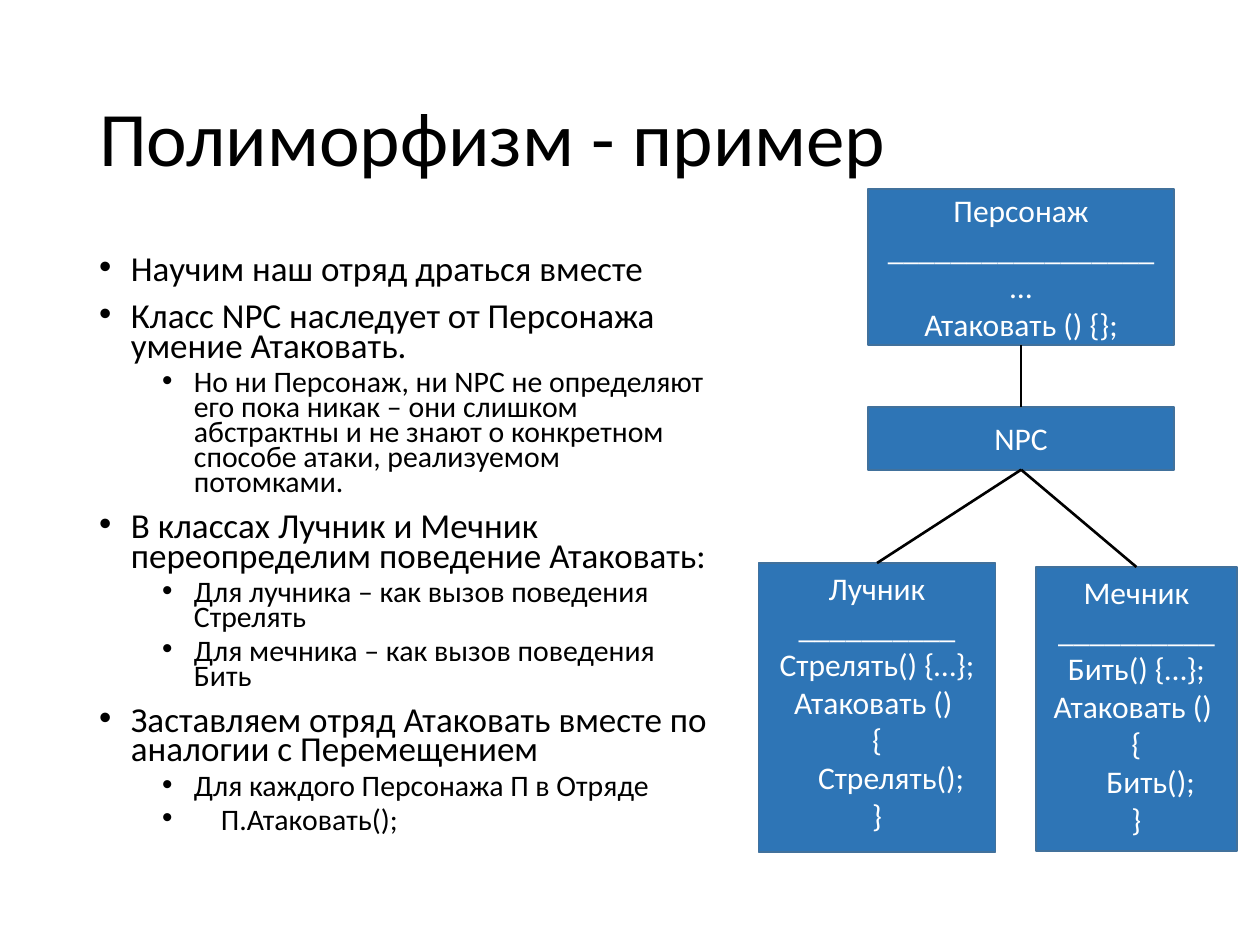
"""Builds the slide on polymorphism: bulleted explanation and class diagram."""
from pptx import Presentation, util as u
from pptx.dml.color import RGBColor
from pptx.enum import shapes, text
from pptx.oxml.ns import qn
from lxml import etree

THEME = {
    "font": "Calibri",
    "ink": RGBColor(0, 0, 0),
    "paper": RGBColor(255, 255, 255),
    "fill": RGBColor(0x2E, 0x75, 0xB6),
    "edge": RGBColor(0x41, 0x71, 0x9C),
    "title": 44, "class": 18, "points": (20, 17),
    "edge_width": 1, "link_width": 1.5,
}

TITLE = "Полиморфизм - пример"
POINTS = [
    (0, "Научим наш отряд драться вместе"),
    (0, "Класс NPC наследует от Персонажа умение Атаковать."),
    (1, "Но ни Персонаж, ни NPC не определяют его пока никак – они слишком "
        "абстрактны и не знают о конкретном способе атаки, реализуемом потомками."),
    (0, "В классах Лучник и Мечник переопределим поведение Атаковать:"),
    (1, "Для лучника – как вызов поведения Стрелять"),
    (1, "Для мечника – как вызов поведения Бить"),
    (0, "Заставляем отряд Атаковать вместе по аналогии с Перемещением"),
    (1, "Для каждого Персонажа П в Отряде"),
    (1, "    П.Атаковать();"),
]


def fighter(name, action):
    return [name, "_" * 10, f"{action}() {{…}};", "Атаковать () \v{", f"    {action}();", "}"]


MIDDLE, TOP = text.MSO_ANCHOR.MIDDLE, text.MSO_ANCHOR.TOP
CLASSES = {
    "Персонаж": ((17.5, 3.81, 6.17, 3.15), MIDDLE,
                 ["Персонаж", "_" * 17, "…", "Атаковать () {};"]),
    "NPC": ((17.5, 8.2, 6.17, 1.27), MIDDLE, ["NPC"]),
    "Лучник": ((15.29, 11.35, 4.78, 5.82), TOP, fighter("Лучник", "Стрелять")),
    "Мечник": ((20.88, 11.43, 4.06, 5.72), TOP, fighter("Мечник", "Бить")),
}
INHERITANCE = [("NPC", "Персонаж"), ("Лучник", "NPC"), ("Мечник", "NPC")]
TITLE_AREA = (1.75, 1.02, 21.92, 3.68)
POINTS_AREA = (1.75, 5.08, 12.85, 12.09)
MARGINS = (0.64, 1.91)
HANG = 0.64
SPACE_BEFORE = (10, 5)


def cm(lengths):
    return [u.Cm(length) for length in lengths]


def style(paragraph, size, color):
    for run in paragraph.runs:
        run.font.name = THEME["font"]
        run.font.size = u.Pt(size)
        run.font.color.rgb = color


def add_text(slide, area, lines, anchor):
    frame = slide.shapes.add_textbox(*cm(area)).text_frame
    frame.word_wrap = True
    frame.vertical_anchor = anchor
    frame.text = "\n".join(lines)
    return frame.paragraphs


def add_bullet(paragraph, level):
    props = paragraph._p.get_or_add_pPr()
    props.set("marL", str(u.Cm(MARGINS[level])))
    props.set("indent", str(-u.Cm(HANG)))
    color = etree.SubElement(props, qn("a:buClr"))
    etree.SubElement(color, qn("a:srgbClr"), val=str(THEME["ink"]))
    etree.SubElement(props, qn("a:buFont"), typeface="Arial")
    etree.SubElement(props, qn("a:buChar"), char="•")


def add_class(slide, area, anchor, lines):
    box = slide.shapes.add_shape(shapes.MSO_SHAPE.RECTANGLE, *cm(area))
    box.shadow.inherit = False
    box.fill.solid()
    box.fill.fore_color.rgb = THEME["fill"]
    box.line.color.rgb = THEME["edge"]
    box.line.width = u.Pt(THEME["edge_width"])
    frame = box.text_frame
    frame.word_wrap = True
    frame.vertical_anchor = anchor
    frame.text = "\n".join(lines)
    for paragraph in frame.paragraphs:
        paragraph.alignment = text.PP_ALIGN.CENTER
        style(paragraph, THEME["class"], THEME["paper"])
    return box


def add_inheritance(slide, child, parent):
    link = slide.shapes.add_connector(shapes.MSO_CONNECTOR.STRAIGHT, 0, 0, 0, 0)
    link.begin_connect(child, 0)
    link.end_connect(parent, 2)
    link.line.color.rgb = THEME["ink"]
    link.line.width = u.Pt(THEME["link_width"])
    etree.SubElement(link._element.spPr, qn("a:effectLst"))


def main():
    deck = Presentation()
    deck.slide_width, deck.slide_height = cm((25.4, 19.05))
    slide = deck.slides.add_slide(deck.slide_layouts[6])

    heading, = add_text(slide, TITLE_AREA, [TITLE], MIDDLE)
    heading.line_spacing = 0.9
    style(heading, THEME["title"], THEME["ink"])

    points = add_text(slide, POINTS_AREA, [line for _, line in POINTS], TOP)
    for order, (point, (level, _)) in enumerate(zip(points, POINTS)):
        point.level = level
        point.line_spacing = 0.7
        point.space_before = u.Pt(SPACE_BEFORE[level] if order else 0)
        add_bullet(point, level)
        style(point, THEME["points"][level], THEME["ink"])

    boxes = {name: add_class(slide, *details) for name, details in CLASSES.items()}
    for child, parent in INHERITANCE:
        add_inheritance(slide, boxes[child], boxes[parent])

    deck.save("out.pptx")


if __name__ == "__main__":
    main()
